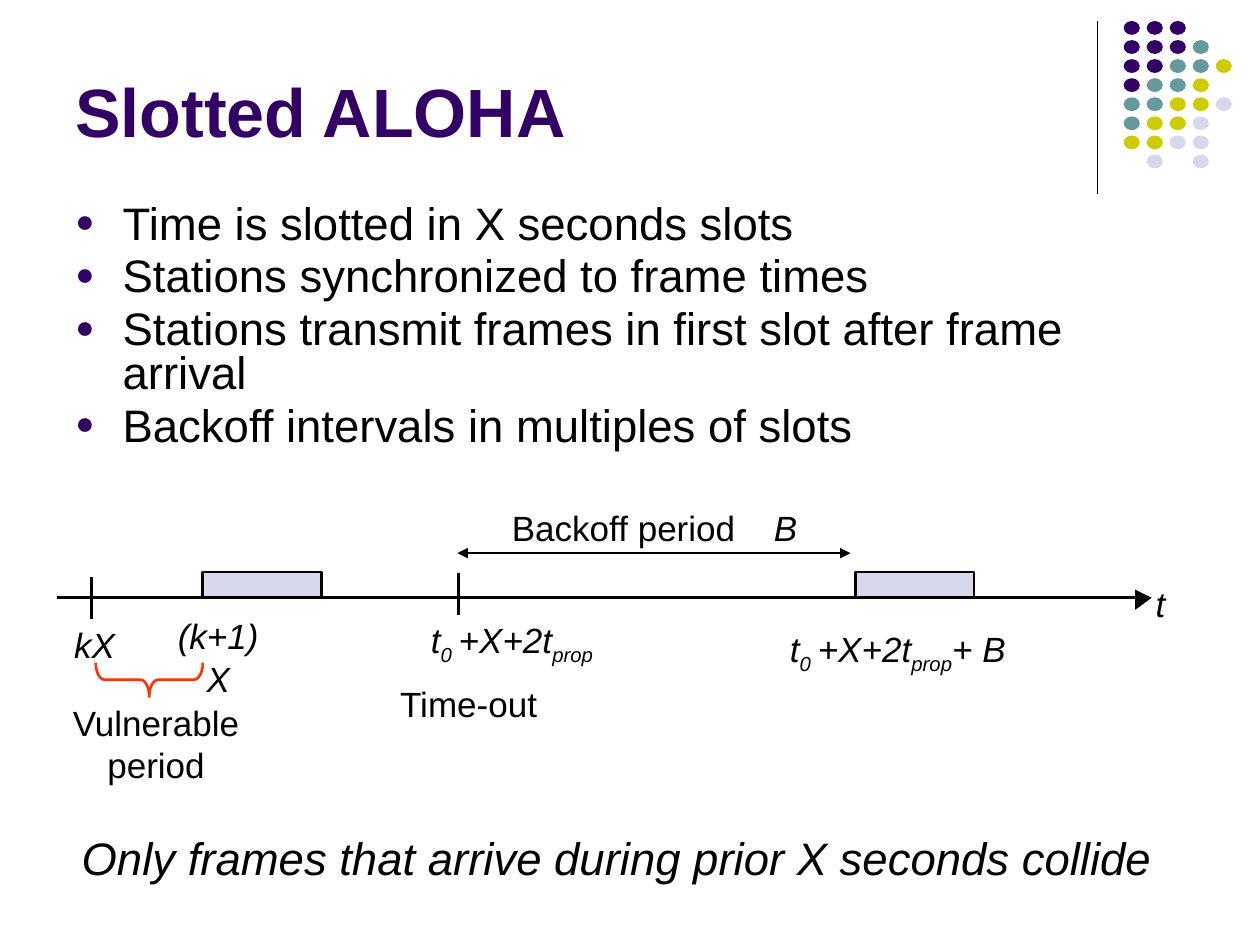
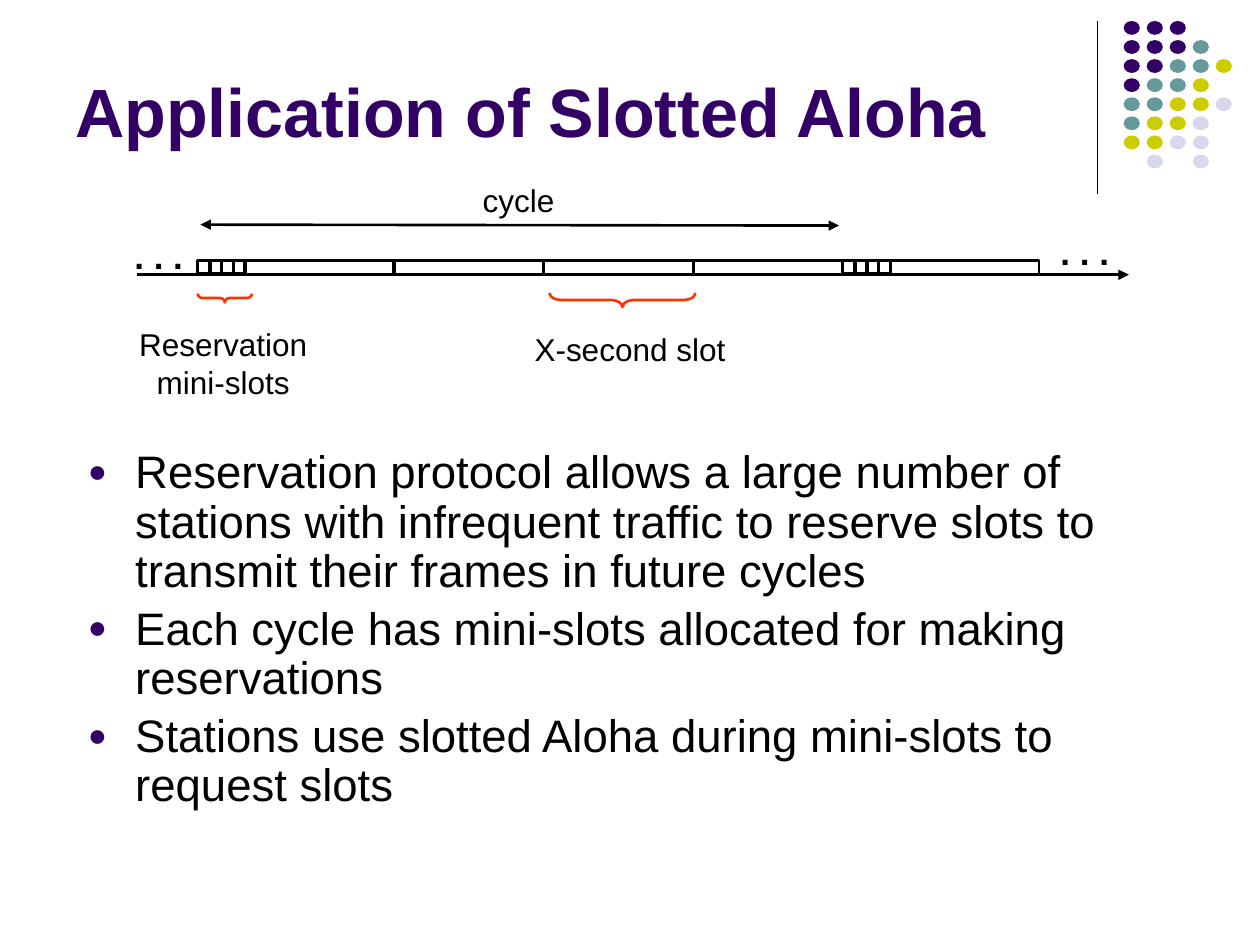
from lxml.etree import SubElement
from pptx import Presentation
from pptx.dml.color import RGBColor
from pptx.enum.shapes import MSO_CONNECTOR, MSO_SHAPE
from pptx.enum.text import MSO_ANCHOR, PP_ALIGN
from pptx.oxml.ns import qn
from pptx.util import Pt

BLACK = RGBColor(0x00, 0x00, 0x00)
PURPLE = RGBColor(0x33, 0x00, 0x66)
TEAL = RGBColor(0x66, 0x99, 0x99)
OLIVE = RGBColor(0xCC, 0xCC, 0x00)
LAVENDER = RGBColor(0xD8, 0xD8, 0xEC)
RED = RGBColor(0xFF, 0x33, 0x00)

# Corner ornament: one letter per dot, one string per row
DOT_COLOURS = {"P": PURPLE, "T": TEAL, "O": OLIVE, "L": LAVENDER}
DOT_ROWS = ["PPP", "PPPT", "PPTTO", "PTTO", "TTOOL", "TOOL", "OOLL", " L L"]


class SlideWriter:
    """Holds the deck style and the page being drawn; lengths are in points."""

    font_name = "Arial"

    def __init__(self):
        self.deck = Presentation()
        self.deck.slide_width, self.deck.slide_height = Pt(720), Pt(540)
        self.page = None

    def new_page(self, title):
        self.page = self.deck.slides.add_slide(self.deck.slide_layouts[6])
        # Rule and dots
        self.line(627.1, 12, 627.1, 111, width=0.75)
        for row, letters in enumerate(DOT_ROWS):
            for column, letter in enumerate(letters):
                if letter in DOT_COLOURS:
                    self.shape(MSO_SHAPE.OVAL, 642.1 + 13.15 * column, 12 + 10.9 * row,
                               9.2, 7.9, fill=DOT_COLOURS[letter])
        # Title
        frame = self.text_frame(36, 9.4, 594, 80.6)
        frame.vertical_anchor = MSO_ANCHOR.BOTTOM
        frame.text = title
        self.style(frame.paragraphs[0].font, 39, PURPLE, bold=True)

    def style(self, font, size, colour=BLACK, bold=False, italic=False):
        font.name, font.size = self.font_name, Pt(size)
        font.bold, font.italic = bold, italic
        font.color.rgb = colour

    def text_frame(self, left, top, width, height, wrap=True, inset=None):
        box = self.page.shapes.add_textbox(Pt(left), Pt(top), Pt(width), Pt(height))
        frame = box.text_frame
        frame.word_wrap = wrap
        if inset is not None:
            frame.margin_left = frame.margin_right = Pt(inset)
            frame.margin_top = frame.margin_bottom = Pt(inset)
        return frame

    def label(self, text, left, top, width, height=24, size=20, wrap=False,
              inset=0, bold=False, italic=False):
        frame = self.text_frame(left, top, width, height, wrap, inset)
        para = frame.paragraphs[0]
        para.text = text
        para.alignment = PP_ALIGN.CENTER
        self.style(para.font, size, bold=bold, italic=italic)

    def formula(self, spans, left, top, width):
        """Write italic spans given as (text, size, is_subscript)."""
        para = self.text_frame(left, top, width, 24, inset=0).paragraphs[0]
        for text, size, is_subscript in spans:
            span = para.add_run()
            span.text = text
            self.style(span.font, size, italic=True)
            if is_subscript:
                span.font._element.set("baseline", "-25000")

    def body(self, texts, left, top, width, height, spacing, bullet=True, italic=False):
        frame = self.text_frame(left, top, width, height)
        for index, text in enumerate(texts):
            para = frame.add_paragraph() if index else frame.paragraphs[0]
            para.text = text
            para.line_spacing = spacing
            if index:
                para.space_before = Pt(5.2)
            if bullet:
                self.add_bullet(para)
            self.style(para.font, 26, italic=italic)

    def add_bullet(self, para):
        properties = para._p.get_or_add_pPr()
        properties.set("marL", str(Pt(27)))
        properties.set("indent", str(-Pt(27)))
        colour = SubElement(properties, qn("a:buClr"))
        SubElement(colour, qn("a:srgbClr"), val=str(PURPLE))
        SubElement(properties, qn("a:buSzPct"), val="70000")
        SubElement(properties, qn("a:buFont"), typeface=self.font_name)
        SubElement(properties, qn("a:buChar"), char="●")

    def paint(self, shape, fill, line):
        shape.shadow.inherit = False
        if fill is None:
            shape.fill.background()
        else:
            shape.fill.solid()
            shape.fill.fore_color.rgb = fill
        if line is None:
            shape.line.fill.background()
        else:
            shape.line.color.rgb = line
            shape.line.width = Pt(1.5)

    def shape(self, kind, left, top, width, height, fill=None, line=None):
        shape = self.page.shapes.add_shape(kind, Pt(left), Pt(top), Pt(width), Pt(height))
        self.paint(shape, fill, line)
        return shape

    def block(self, left, top, width, height, fill=None):
        self.shape(MSO_SHAPE.RECTANGLE, left, top, width, height, fill, BLACK)

    def brace(self, center_x, center_y, span, depth, curve):
        """Draw a brace that lies under a span and points down."""
        brace = self.shape(MSO_SHAPE.LEFT_BRACE, center_x - depth / 2,
                           center_y - span / 2, depth, span, line=RED)
        brace.rotation = 270
        brace.adjustments[0] = curve

    def polygon(self, points, fill):
        (start_x, start_y), *others = [(Pt(x), Pt(y)) for x, y in points]
        builder = self.page.shapes.build_freeform(start_x, start_y)
        builder.add_line_segments(others, close=True)
        self.paint(builder.convert_to_shape(), fill, None)

    def line(self, x1, y1, x2, y2, width=1.5, ends=()):
        connector = self.page.shapes.add_connector(
            MSO_CONNECTOR.STRAIGHT, Pt(x1), Pt(y1), Pt(x2), Pt(y2))
        connector.line.color.rgb = BLACK
        connector.line.width = Pt(width)
        for end in ends:
            SubElement(connector.line._get_or_add_ln(), qn(f"a:{end}"), type="triangle")
        SubElement(connector._element.spPr, qn("a:effectLst"))


def draw_slotted_aloha(writer):
    writer.new_page("Slotted ALOHA")
    writer.body(["Time is slotted in X seconds slots",
                 "Stations synchronized to frame times",
                 "Stations transmit frames in first slot after frame arrival",
                 "Backoff intervals in multiples of slots"],
                36, 113.8, 648, 162.7, spacing=0.8)

    # Time axis with slot ticks and frames
    axis_y = 341.6
    writer.line(32.4, axis_y, 652.3, axis_y)
    writer.polygon([(648.7, 348.5), (658.1, axis_y), (648.7, 337)], BLACK)
    writer.label("t", 658.1, 332.6, 10, italic=True)
    for tick_x, tick_top in ((52.4, 329.8), (262.1, 327.6)):
        writer.line(tick_x, tick_top, tick_x, tick_top + 23.8)
    for frame_left in (115.9, 488.9):
        writer.block(frame_left, 326.9, 67.7, 14.4, LAVENDER)

    # Slot labels and vulnerable period
    writer.label("(k+1)\vX", 95.2, 351.4, 59, 48, italic=True)
    writer.label("kX", 39, 356.4, 30, italic=True)
    writer.brace(85.3, 388.4, span=61.2, depth=19.4, curve=0.26)
    writer.label("Vulnerable\vperiod", 39.2, 401, 100, 48)

    # Time-out and backoff
    timeout = [("t", 20, False), ("0", 20, True), (" ", 14, False),
               ("+X+2t", 20, False), ("prop", 20, True)]
    writer.formula(timeout, 246.2, 353.5, 166.3)
    writer.formula(timeout + [("+ B", 20, False)], 451.4, 358.6, 166.3)
    writer.label("Time-out", 222.8, 390.2, 90)
    para = writer.text_frame(292.5, 289.4, 174, 24, inset=0).paragraphs[0]
    tabs = SubElement(para._p.get_or_add_pPr(), qn("a:tabLst"))
    SubElement(tabs, qn("a:tab"), pos=str(Pt(149.7)), algn="l")
    for text, italic in (("Backoff period\t", False), ("B", True)):
        span = para.add_run()
        span.text = text
        writer.style(span.font, 20, italic=italic)
    writer.line(261.4, 316.1, 486, 316.1, width=1, ends=("headEnd", "tailEnd"))

    # Conclusion
    writer.body(["Only frames that arrive during prior X seconds collide"],
                39.6, 476.6, 648, 40.3, spacing=0.8, bullet=False, italic=True)


def draw_application(writer):
    writer.new_page("Application of Slotted Aloha")
    writer.body(["Reservation protocol allows a large number of stations with infrequent "
                 "traffic to reserve slots to transmit their frames in future cycles",
                 "Each cycle has mini-slots allocated for making reservations",
                 "Stations use slotted Aloha during mini-slots to request slots"],
                43.2, 253.4, 648, 238.3, spacing=0.9)

    # Time axis with two cycles: mini-slots, then full slots
    writer.line(78.5, 157, 645.1, 157, ends=("tailEnd",))
    for cycle_left, slot_count in ((113, 4), (481.7, 1)):
        for index in range(4):
            writer.block(cycle_left + 6.7 * index, 149, 7.2, 7.2)
        for index in range(slot_count):
            writer.block(cycle_left + 26.8 + 85.5 * index, 149, 85.2, 7.9)
    writer.line(114.5, 128.4, 479.5, 128.9, ends=("headEnd", "tailEnd"))

    # Braces and labels
    writer.brace(355.7, 171.4, span=83.5, depth=7.9, curve=0.89)
    writer.brace(128.5, 170.3, span=31, depth=5, curve=0.54)
    writer.label("cycle", 268.6, 100.1, 55.4, 28.8, size=18, inset=3.6)
    writer.label("X-second slot", 298.1, 185, 123.8, 28.8, size=18, inset=3.6)
    writer.label("Reservation mini-slots", 56.2, 182.2, 142.6, 50.4, size=18,
                 wrap=True, inset=3.6)
    for dots_left, dots_top in ((599, 128.2), (69.8, 130.3)):
        writer.label(". . .", dots_left, dots_top, 41.8, 31, inset=3.6, bold=True)


def main():
    writer = SlideWriter()
    draw_slotted_aloha(writer)
    draw_application(writer)
    writer.deck.save("out.pptx")


if __name__ == "__main__":
    main()
